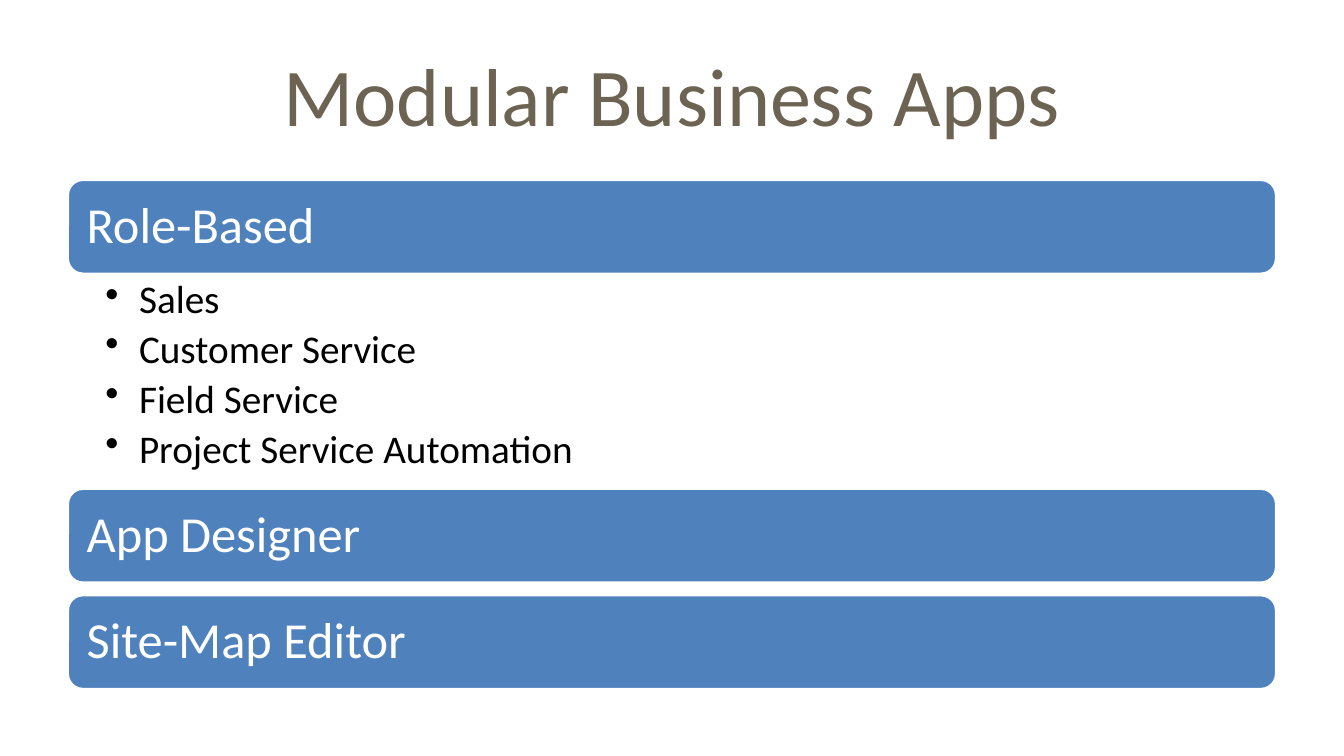
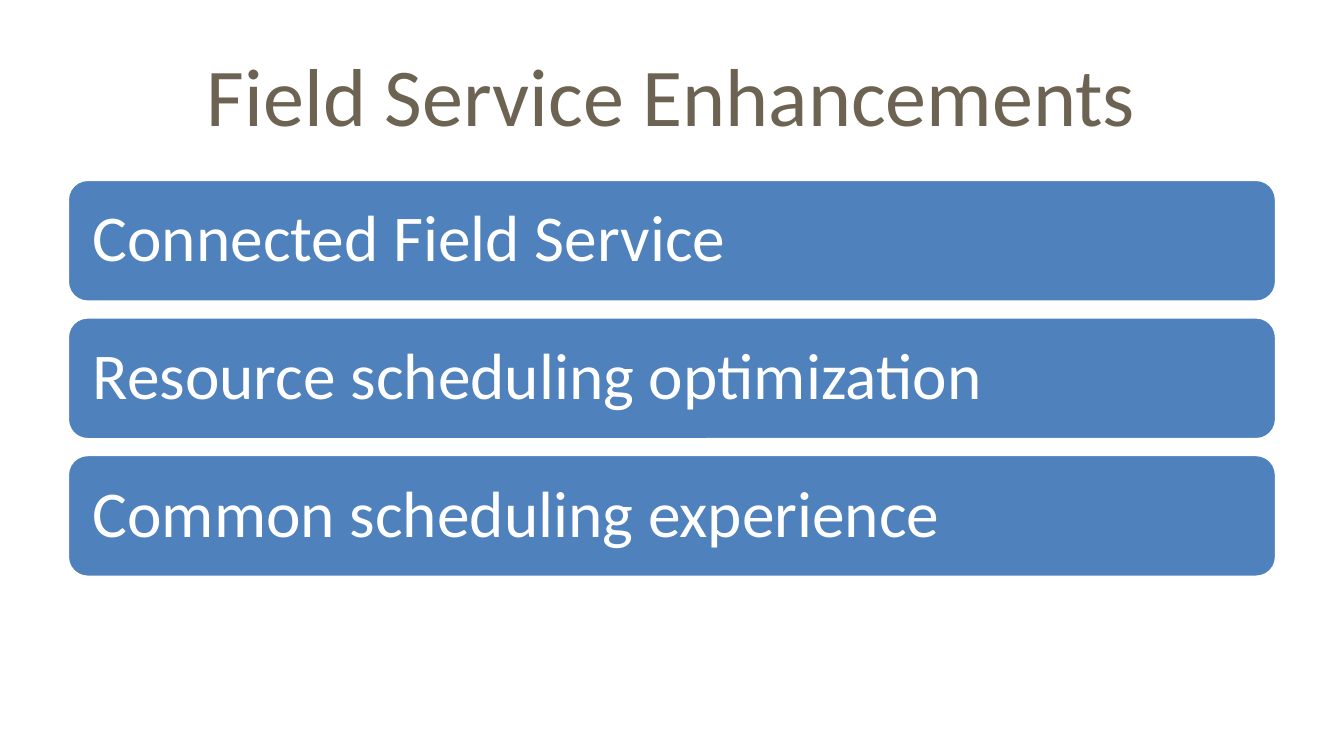
import pptx
import pptx.util
import pptx.dml.color
import pptx.enum.shapes
import pptx.enum.text
import lxml.etree
from dataclasses import dataclass
from pptx.util import Pt

# Content: each band is a heading with its bullet points
SLIDES = [
    {
        "title": "Modular Business Apps",
        "bands": [
            ("Role-Based", ["Sales", "Customer Service", "Field Service",
                            "Project Service Automation"]),
            ("App Designer", []),
            ("Site-Map Editor", []),
        ],
        "band_height": 51, "gap": 6, "inset": 8, "size": 27,
    },
    {
        "title": "Field Service Enhancements",
        "bands": [
            ("Connected Field Service", []),
            ("Resource scheduling optimization", []),
            ("Common scheduling experience", []),
        ],
        "band_height": 66, "gap": 7.7, "inset": 10.5, "size": 35,
    },
]


# Shared look
@dataclass(frozen=True)
class Theme:
    font: str = "Calibri"
    title_color: str = "6C6352"
    band_color: str = "4F81BD"
    white: str = "FFFFFF"
    bullet_color: str = "000000"
    title_size: int = 44
    bullet_size: int = 21


THEME = Theme()
LEFT, WIDTH = 36, 648
TITLE_TOP, TITLE_HEIGHT = 16.5, 67.5
BANDS_TOP = 96
BULLETS_HEIGHT = 114.5
BULLET_INDENT = 18


def rgb(value):
    return pptx.dml.color.RGBColor.from_string(value)


def style_text(frame, size, color):
    for para in frame.paragraphs:
        for span in para.runs:
            span.font.name = THEME.font
            span.font.size = Pt(size)
            span.font.color.rgb = rgb(color)


def set_margins(frame, left, top, right, bottom):
    frame.margin_left, frame.margin_top = Pt(left), Pt(top)
    frame.margin_right, frame.margin_bottom = Pt(right), Pt(bottom)


def add_title(page, text):
    title = page.shapes.title
    title.left, title.top = Pt(LEFT), Pt(TITLE_TOP)
    title.width, title.height = Pt(WIDTH), Pt(TITLE_HEIGHT)
    frame = title.text_frame
    frame.text = text
    frame.auto_size = pptx.enum.text.MSO_AUTO_SIZE.NONE
    frame.vertical_anchor = pptx.enum.text.MSO_ANCHOR.MIDDLE
    frame.paragraphs[0].alignment = pptx.enum.text.PP_ALIGN.CENTER
    style_text(frame, THEME.title_size, THEME.title_color)


def add_band(page, text, top, height, inset, size):
    band = page.shapes.add_shape(
        pptx.enum.shapes.MSO_SHAPE.ROUNDED_RECTANGLE,
        Pt(LEFT), Pt(top), Pt(WIDTH), Pt(height))
    band.shadow.inherit = False
    band.fill.solid()
    band.fill.fore_color.rgb = rgb(THEME.band_color)
    band.line.color.rgb = rgb(THEME.white)
    band.line.width = Pt(2)
    frame = band.text_frame
    frame.text = text
    frame.word_wrap = True
    frame.vertical_anchor = pptx.enum.text.MSO_ANCHOR.MIDDLE
    set_margins(frame, inset, inset, inset, inset)
    para = frame.paragraphs[0]
    para.alignment = pptx.enum.text.PP_ALIGN.LEFT
    para.line_spacing = 0.9
    style_text(frame, size, THEME.white)


def add_bullets(page, points, top):
    box = page.shapes.add_textbox(Pt(LEFT), Pt(top), Pt(WIDTH), Pt(BULLETS_HEIGHT))
    frame = box.text_frame
    frame.word_wrap = True
    set_margins(frame, 20.5, 3, 15, 3)
    frame.text = "\n".join(points)
    for para in frame.paragraphs:
        para.level = 1
        para.line_spacing = 0.9
        para.space_after = Pt(4)
        properties = para._p.get_or_add_pPr()
        properties.set("marL", str(Pt(BULLET_INDENT)))
        properties.set("indent", str(-Pt(BULLET_INDENT)))
        bullet = lxml.etree.SubElement(properties, pptx.oxml.ns.qn("a:buChar"))
        bullet.set("char", "•")
    style_text(frame, THEME.bullet_size, THEME.bullet_color)


def add_page(deck, content):
    page = deck.slides.add_slide(deck.slide_layouts[5])
    add_title(page, content["title"])
    top = BANDS_TOP
    for heading, points in content["bands"]:
        add_band(page, heading, top, content["band_height"],
                 content["inset"], content["size"])
        top += content["band_height"]
        # Bullets fill the space up to the next band
        if points:
            add_bullets(page, points, top)
            top += BULLETS_HEIGHT
        else:
            top += content["gap"]


def main():
    deck = pptx.Presentation()
    deck.slide_width, deck.slide_height = Pt(720), Pt(405)
    for content in SLIDES:
        add_page(deck, content)
    deck.save("out.pptx")


if __name__ == "__main__":
    main()
